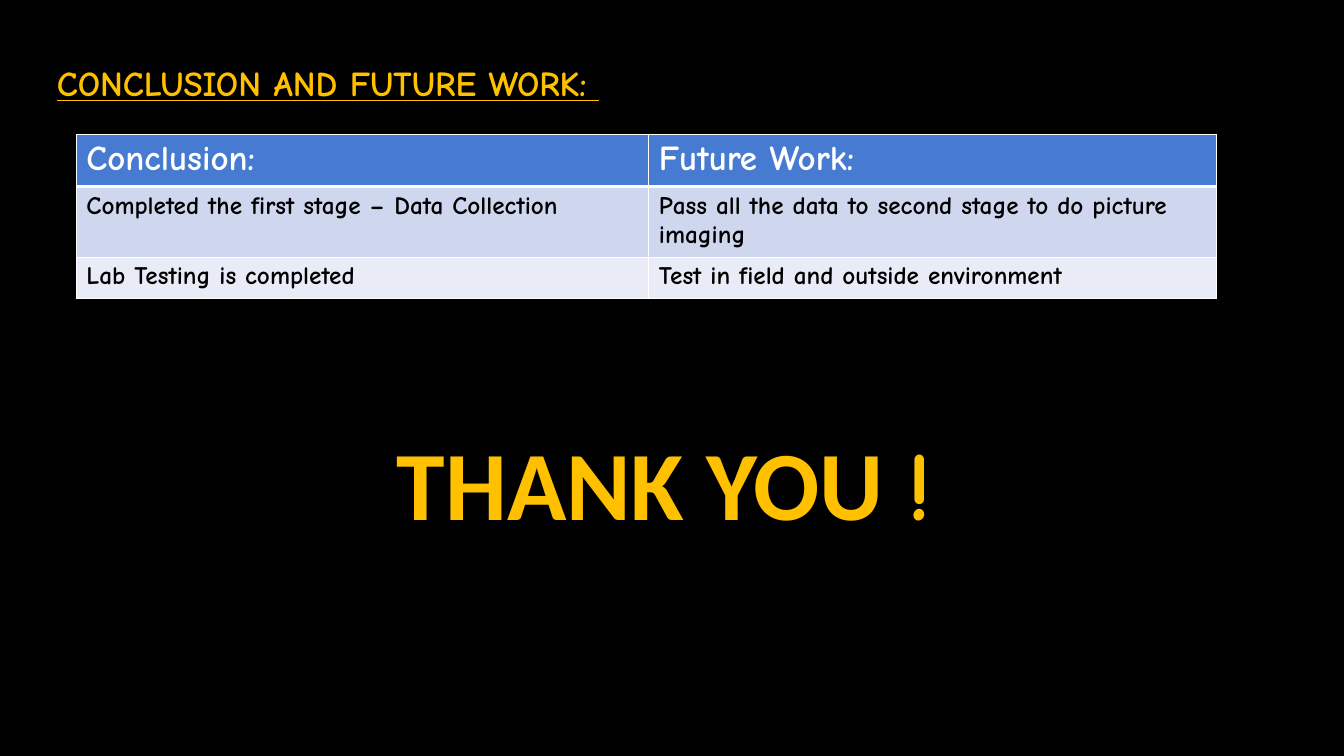
from lxml.etree import SubElement
from pptx import Presentation
from pptx.dml.color import RGBColor
from pptx.enum.text import MSO_ANCHOR
from pptx.oxml.ns import qn
from pptx.util import Pt

COLORS = {
    "background": "000000",
    "accent": "FFC000",
    "header": "477BD1",
    "band_dark": "CFD7EE",
    "band_light": "E9ECF7",
    "white": "FFFFFF",
    "black": "000000",
}
HAND_FONT = "Comic Neue"
PLAIN_FONT = "Calibri"

COLUMN_WIDTHS = (409, 405.5)
ROW_HEIGHTS = (35.5, 48.5, 29.5)
ROW_FILLS = ("header", "band_dark", "band_light")
ROWS = (
    ("Conclusion:", "Future Work:"),
    ("Completed the first stage – Data Collection",
     "Pass all the data to second stage to do picture imaging"),
    ("Lab Testing is completed", "Test in field and outside environment"),
)


def rgb(name):
    return RGBColor.from_string(COLORS[name])


def add_run(paragraph, text, size, color, font=HAND_FONT, underline=None):
    run = paragraph.add_run()
    run.text = text
    run.font.name = font
    run.font.size = Pt(size)
    run.font.bold = True
    run.font.underline = underline
    run.font.color.rgb = rgb(color)


def add_text_box(slide, left, top, width, height):
    """Add a wrapping, vertically centred box and return its paragraph."""
    box = slide.shapes.add_textbox(Pt(left), Pt(top), Pt(width), Pt(height))
    frame = box.text_frame
    frame.word_wrap = True
    frame.vertical_anchor = MSO_ANCHOR.MIDDLE
    return frame.paragraphs[0]


def set_borders(cell, top, bottom):
    properties = cell._tc.get_or_add_tcPr()
    widths = {"lnL": 1, "lnR": 1, "lnT": top, "lnB": bottom}
    for tag, width in widths.items():
        line = SubElement(properties, qn(f"a:{tag}"), w=str(Pt(width)))
        fill = SubElement(line, qn("a:solidFill"))
        SubElement(fill, qn("a:srgbClr"), val=COLORS["white"])


def add_summary_table(slide, left, top):
    frame = slide.shapes.add_table(
        len(ROWS), len(COLUMN_WIDTHS), Pt(left), Pt(top),
        Pt(sum(COLUMN_WIDTHS)), Pt(sum(ROW_HEIGHTS)))
    table = frame.table
    for column, width in zip(table.columns, COLUMN_WIDTHS):
        column.width = Pt(width)
    for row_index, texts in enumerate(ROWS):
        table.rows[row_index].height = Pt(ROW_HEIGHTS[row_index])
        is_header = row_index == 0
        size, color = (25, "white") if is_header else (18, "black")
        for column_index, text in enumerate(texts):
            cell = table.cell(row_index, column_index)
            set_borders(cell, top=3 if row_index == 1 else 1,
                        bottom=3 if is_header else 1)
            cell.fill.solid()
            cell.fill.fore_color.rgb = rgb(ROW_FILLS[row_index])
            add_run(cell.text_frame.paragraphs[0], text, size, color)


def main():
    presentation = Presentation()
    presentation.slide_width = Pt(960)
    presentation.slide_height = Pt(540)
    slide = presentation.slides.add_slide(presentation.slide_layouts[6])
    slide.background.fill.solid()
    slide.background.fill.fore_color.rgb = rgb("background")

    title = add_text_box(slide, 33.5, 32.5, 608, 52.5)
    add_run(title, "CONCLUSION AND FUTURE WORK: ", 25, "accent", underline=True)

    add_summary_table(slide, 54.5, 96)

    thanks = add_text_box(slide, 276.5, 296, 437, 96)
    add_run(thanks, "THANK YOU ", 70, "accent", font=PLAIN_FONT)
    add_run(thanks, "!", 70, "accent")

    presentation.save("out.pptx")


if __name__ == "__main__":
    main()
